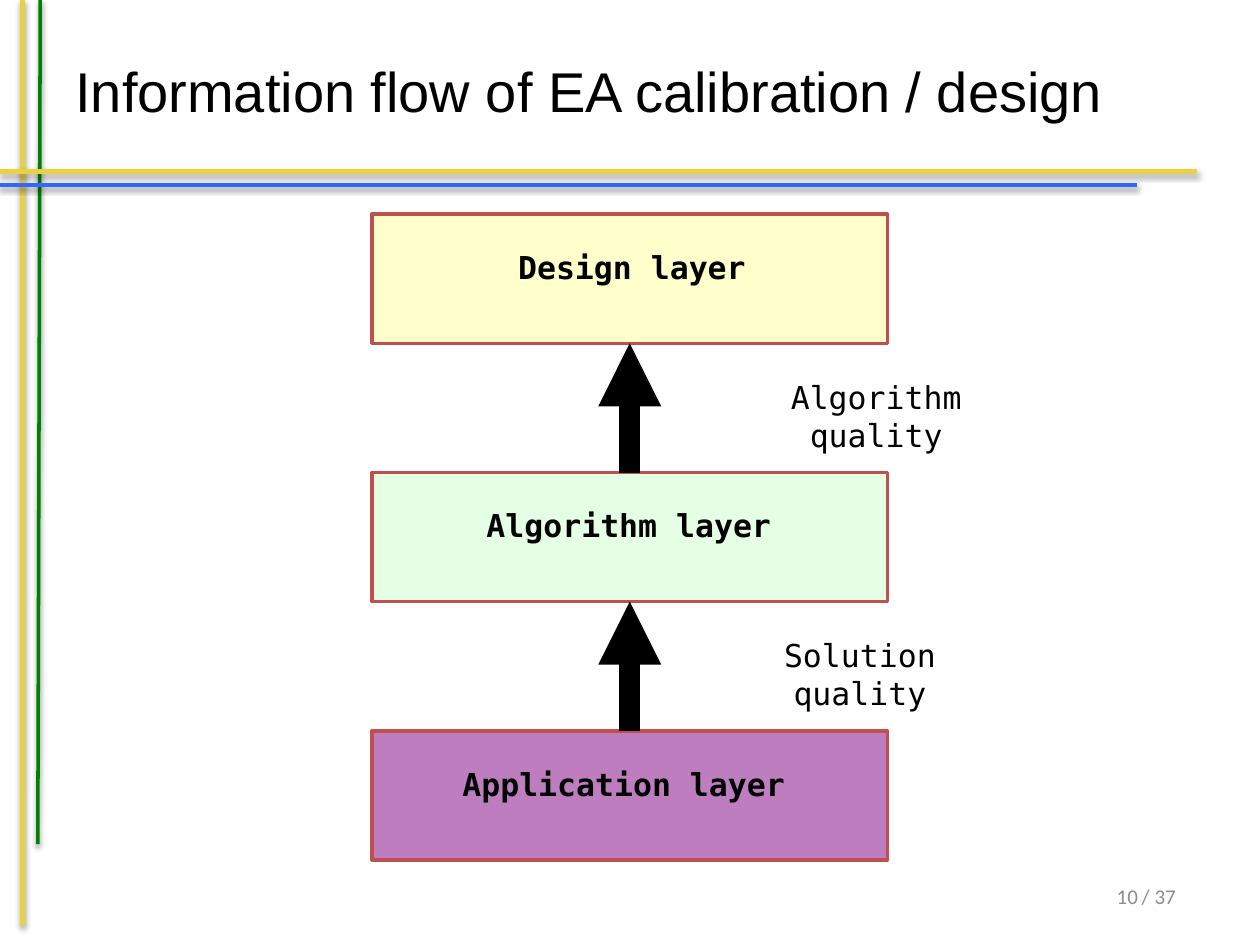
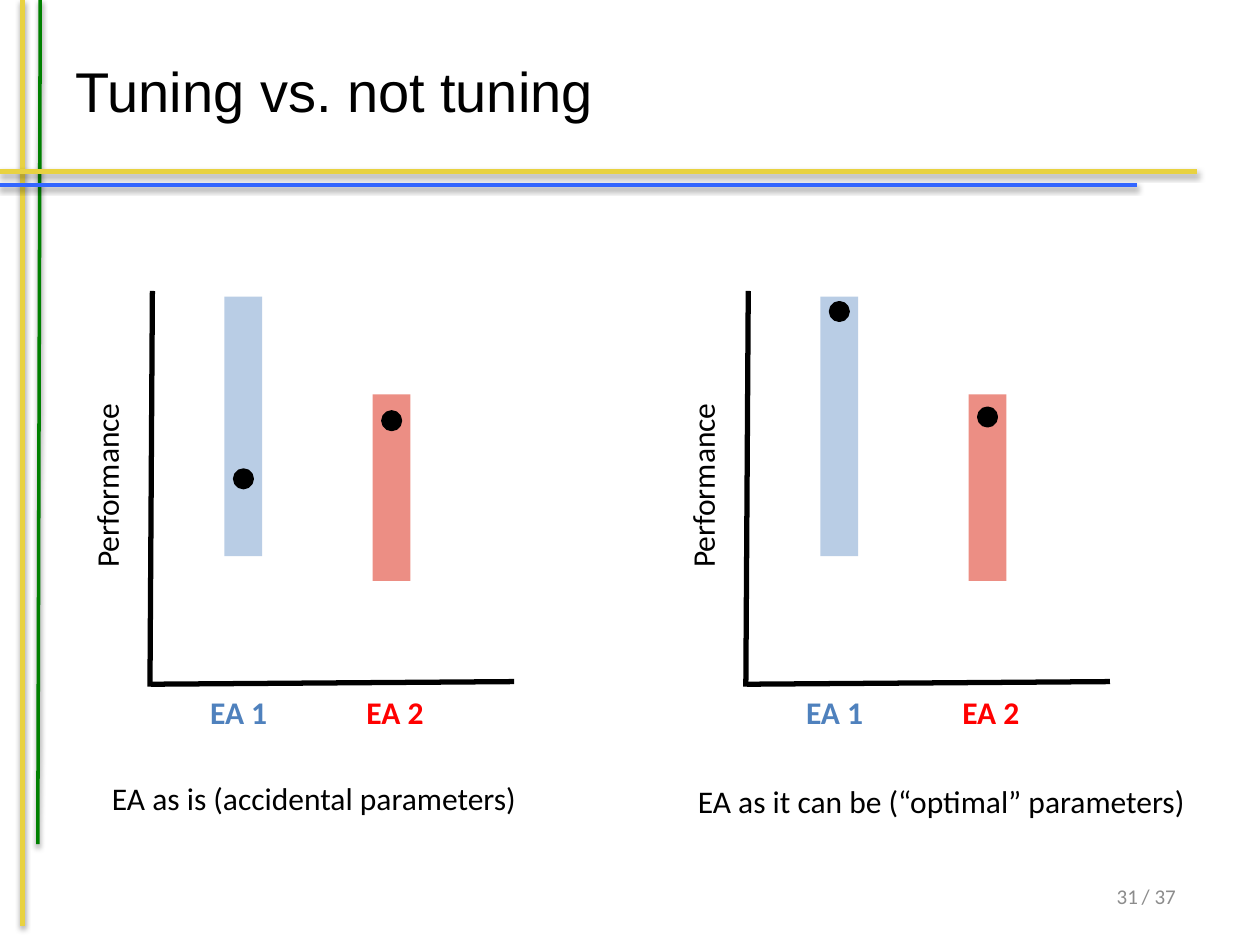
import lxml.etree
import pptx
import pptx.dml.color
import pptx.enum.shapes
import pptx.enum.text
import pptx.oxml.ns
import pptx.util

Pt = pptx.util.Pt
RGBColor = pptx.dml.color.RGBColor
Shape = pptx.enum.shapes.MSO_SHAPE
Align = pptx.enum.text.PP_ALIGN
Anchor = pptx.enum.text.MSO_ANCHOR

BLACK = RGBColor(0x00, 0x00, 0x00)
GRAY = RGBColor(0x8C, 0x8C, 0x8C)
GOLD = RGBColor(0xE8, 0xD2, 0x41)
GREEN = RGBColor(0x00, 0x80, 0x00)
BLUE = RGBColor(0x33, 0x66, 0xFF)
BRICK = RGBColor(0xC0, 0x50, 0x4D)
YELLOW = RGBColor(0xFF, 0xFF, 0x99)
MINT = RGBColor(0xCC, 0xFF, 0xCC)
PURPLE = RGBColor(0x80, 0x00, 0x80)
PALE_BLUE = RGBColor(0xB9, 0xCD, 0xE5)
SALMON = RGBColor(0xEC, 0x8E, 0x84)
LABEL_BLUE = RGBColor(0x4F, 0x81, 0xBD)
RED = RGBColor(0xFF, 0x00, 0x00)

SANS = "Calibri"
MONO = "DejaVu Sans Mono"
TITLE_FONT = "Arial"
PAGE_COUNT = 37


def add_xml(parent, tag, **attributes):
    values = {name: str(value) for name, value in attributes.items()}
    return lxml.etree.SubElement(parent, pptx.oxml.ns.qn(tag), values)


def write_text(shape, text, font=SANS, size=18, color=BLACK, bold=False,
               align=Align.LEFT, anchor=Anchor.TOP):
    frame = shape.text_frame
    frame.word_wrap = True
    frame.vertical_anchor = anchor
    paragraph = frame.paragraphs[0]
    paragraph.alignment = align
    run = paragraph.add_run()
    run.text = text
    run.font.name = font
    run.font.size = Pt(size)
    run.font.bold = bold
    run.font.color.rgb = color


class Deck:
    """Holds the presentation, the shared style and the current slide."""

    def __init__(self):
        self.presentation = pptx.Presentation()
        self.presentation.slide_width = Pt(720)
        self.presentation.slide_height = Pt(540)
        self.slide = None

    def start_slide(self, title, page):
        self.slide = self.presentation.slides.add_slide(self.presentation.slide_layouts[6])
        rails = [
            ((13, 0), (13, 529), GOLD, 3),
            ((23, 0), (21.6, 482.4), GREEN, 2),
            ((0, 98), (684, 98), GOLD, 3),
            ((0, 105.8), (650, 105.8), BLUE, 2),
        ]
        for start, end, color, width in rails:
            self.line(start, end, color, width, shadow=True)
        self.text(title, 36, 6.5, 648, 90, font=TITLE_FONT, size=32, anchor=Anchor.MIDDLE)
        footer = dict(size=12, color=GRAY, align=Align.RIGHT, anchor=Anchor.MIDDLE)
        self.text(f"/ {PAGE_COUNT}", 607, 492.5, 72, 39.6, **footer)
        self.text(str(page), 612.7, 492.5, 44.6, 39.6, **footer)

    def text(self, text, left, top, width, height, rotation=0, **style):
        box = self.slide.shapes.add_textbox(Pt(left), Pt(top), Pt(width), Pt(height))
        box.rotation = rotation
        write_text(box, text, **style)

    def shape(self, kind, left, top, width, height, fill, line=None, opacity=100):
        shape = self.slide.shapes.add_shape(kind, Pt(left), Pt(top), Pt(width), Pt(height))
        shape.shadow.inherit = False
        shape.fill.solid()
        shape.fill.fore_color.rgb = fill
        if opacity < 100:
            color = shape.fill._xPr.find(".//" + pptx.oxml.ns.qn("a:srgbClr"))
            add_xml(color, "a:alpha", val=opacity * 1000)
        if line is None:
            shape.line.fill.background()
        else:
            shape.line.color.rgb = line
            shape.line.width = Pt(2)
        return shape

    def line(self, start, end, color=BLACK, width=3, shadow=False):
        points = [Pt(value) for value in (*start, *end)]
        connector = self.slide.shapes.add_connector(
            pptx.enum.shapes.MSO_CONNECTOR.STRAIGHT, *points)
        connector.line.color.rgb = color
        connector.line.width = Pt(width)
        effects = add_xml(connector._element.spPr, "a:effectLst")
        if shadow:
            outer = add_xml(effects, "a:outerShdw", blurRad=Pt(3.1), dist=Pt(1.6),
                            dir=90 * 60000, rotWithShape=0)
            shade = add_xml(outer, "a:srgbClr", val=BLACK)
            add_xml(shade, "a:alpha", val=38000)
        return connector

    def arrow_up(self, lower, upper):
        """Join the top of the lower box to the bottom of the upper one."""
        connector = self.line((0, 0), (0, 0), width=12)
        connector.begin_connect(lower, 0)
        connector.end_connect(upper, 2)
        add_xml(connector.line._get_or_add_ln(), "a:tailEnd", type="triangle")


def build_information_flow(deck):
    deck.start_slide("Information flow of EA calibration / design", 10)
    first_top, step = 122.4, 147.6
    layers = [
        ("Design layer", YELLOW, 50, 275.8, 170.6),
        ("Algorithm layer", MINT, 50, 258.5, 201.6),
        ("Application layer", PURPLE, 51, 246.2, 220.3),
    ]
    boxes = []
    for index, (name, fill, opacity, left, width) in enumerate(layers):
        top = first_top + index * step
        boxes.append(deck.shape(Shape.RECTANGLE, 212.6, top, 294.5, 73.8, fill,
                                line=BRICK, opacity=opacity))
        deck.text(name, left, top + 15.8, width, 41, font=MONO, bold=True,
                  align=Align.CENTER)
    for upper, lower in zip(boxes, boxes[1:]):
        deck.arrow_up(lower, upper)
    flows = [("Algorithm quality", 426.2, 149), ("Solution quality", 422.6, 137.5)]
    for index, (name, left, width) in enumerate(flows):
        deck.text(name, left, first_top + 90 + index * step, width, 28.8, font=MONO,
                  align=Align.CENTER)


def draw_performance_panel(deck, offset, dot_tops):
    """Draw the axes, the two ranges and the dots that mark each result."""
    deck.line((87.1 + offset, 166.3), (85.7 + offset, 392.4))
    deck.line((293.8 + offset, 389.5), (86.4 + offset, 391))
    deck.text("Performance", 1.4 + offset, 257.8, 118.8, 28.8, rotation=270)
    bar_width, dot_size = 21.6, 10
    bars = [
        ("EA 1", LABEL_BLUE, 113, PALE_BLUE, 128.3, 169.6, 148.3),
        ("EA 2", RED, 202.3, SALMON, 213, 225.4, 106.6),
    ]
    for bar, dot_top in zip(bars, dot_tops):
        name, color, label_left, fill, left, top, height = bar
        deck.text(name, label_left + offset, 392.4, 54, 28.8, color=color, bold=True)
        deck.shape(Shape.RECTANGLE, left + offset, top, bar_width, height, fill)
        dot_left = left + offset + (bar_width - dot_size) / 2
        deck.shape(Shape.OVAL, dot_left, dot_top, dot_size, dot_size, BLACK, line=BLACK)


def build_tuning(deck):
    deck.start_slide("Tuning vs. not tuning", 31)
    draw_performance_panel(deck, 0, (268.6, 235.4))
    draw_performance_panel(deck, 340.5, (173, 233.3))
    deck.text("EA as is (accidental parameters)", 56.9, 441.4, 276.5, 28.8)
    deck.text("EA as it can be (“optimal” parameters)", 391.7, 443.5, 321, 28.8)


def main():
    deck = Deck()
    build_information_flow(deck)
    build_tuning(deck)
    deck.presentation.save("out.pptx")


if __name__ == "__main__":
    main()
